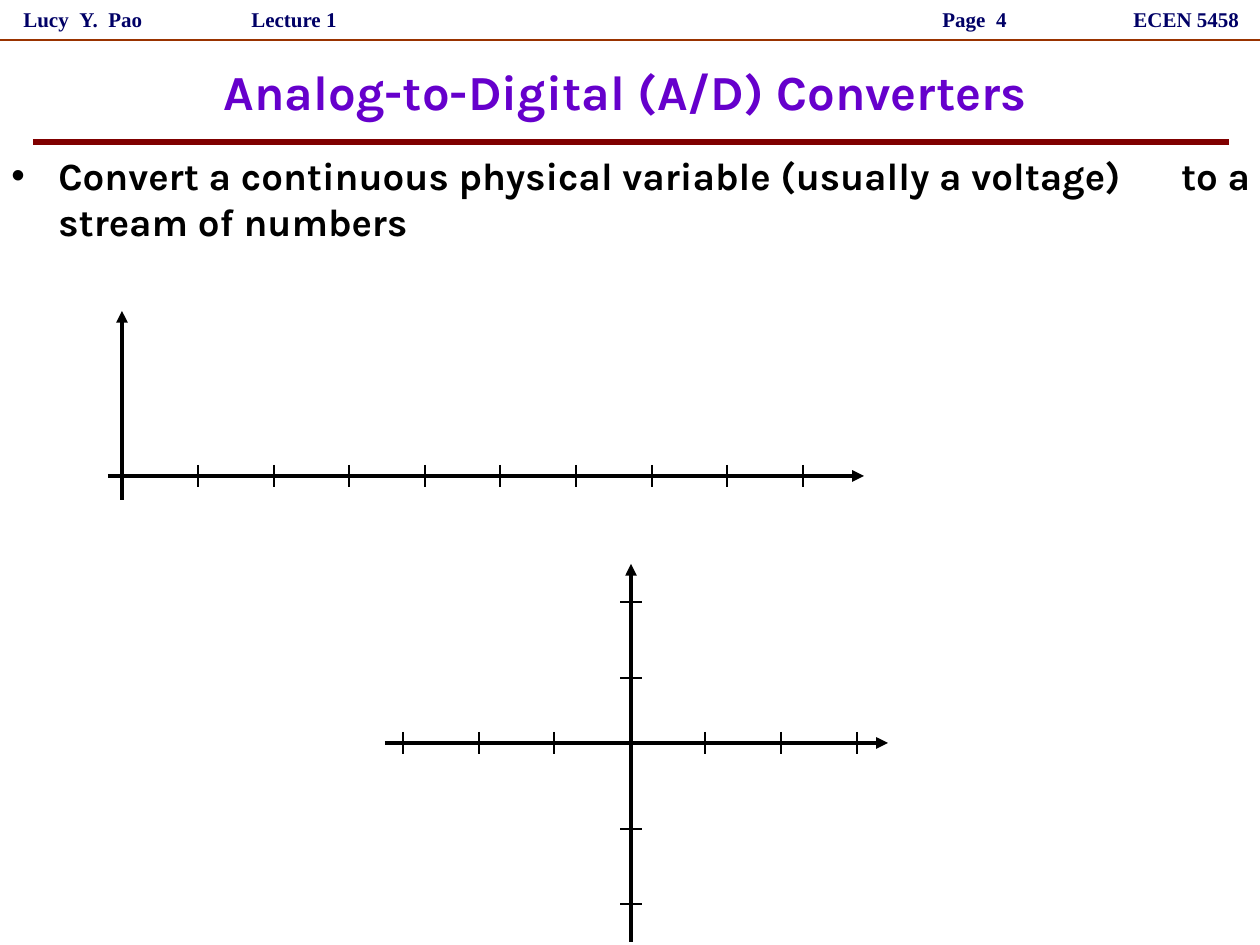
from dataclasses import dataclass

from lxml.etree import SubElement
from pptx import Presentation
from pptx.dml.color import RGBColor
from pptx.enum.shapes import MSO_CONNECTOR
from pptx.enum.text import MSO_ANCHOR, PP_ALIGN
from pptx.oxml.ns import qn
from pptx.util import Emu, Pt

SCALE = 914400 / 126
STEP = 75.6
ARM = 11


def px(n):
    return Emu(round(n * SCALE))


@dataclass(frozen=True)
class Theme:
    navy: str = "000066"
    rust: str = "993300"
    plum: str = "6600CC"
    wine: str = "800000"
    ink: str = "000000"
    serif: str = "Times New Roman"
    sans: str = "Karla"
    small: int = 12
    body: int = 22
    large: int = 28
    thin: float = 1.5
    bold: float = 2.25
    thick: float = 3


class Deck:
    def __init__(self, theme):
        self.theme = theme
        self.show = Presentation()
        self.show.slide_width, self.show.slide_height = px(1260), px(945)
        self.slide = self.show.slides.add_slide(self.show.slide_layouts[6])
        self.home = self.slide.shapes

    def text(self, parts, box, face, size, color, align=PP_ALIGN.LEFT,
             anchor=MSO_ANCHOR.MIDDLE, gap=0, hang=0):
        frame = self.slide.shapes.add_textbox(*map(px, box)).text_frame
        frame.word_wrap = True
        frame.vertical_anchor = anchor
        para = frame.paragraphs[0]
        para.alignment = align
        if hang:
            self.bullet(para, hang, color)
        para.text = parts[0]
        for part in parts[1:]:
            space = para.add_run()
            space.text = " "
            space.font._element.set("spc", str(gap * 100))
            para.add_run().text = part
        for run in para.runs:
            font = run.font
            font.name, font.size, font.bold = face, Pt(size), True
            font.color.rgb = RGBColor.from_string(color)

    def bullet(self, para, hang, color):
        props = para._p.get_or_add_pPr()
        props.set("marL", str(px(hang)))
        props.set("indent", str(-px(hang)))
        tint = SubElement(props, qn("a:buClr"))
        SubElement(tint, qn("a:srgbClr"), val=color)
        SubElement(props, qn("a:buFont"), typeface="Arial")
        SubElement(props, qn("a:buChar"), char="•")

    def line(self, start, end, color, width, arrow=False):
        link = self.home.add_connector(
            MSO_CONNECTOR.STRAIGHT, *map(px, (*start, *end)))
        link.line.color.rgb = RGBColor.from_string(color)
        link.line.width = Pt(width)
        if arrow:
            SubElement(link.line._get_or_add_ln(), qn("a:tailEnd"), type="triangle")
        SubElement(link._element.spPr, qn("a:effectLst"))

    def plot(self, across, up, cols, rows):
        theme = self.theme
        self.home = self.slide.shapes.add_group_shape().shapes
        for start, end in (across, up):
            self.line(start, end, theme.ink, theme.bold, arrow=True)
        x, y = up[0][0], across[0][1]
        for col in cols:
            self.line((col, y - ARM), (col, y + ARM), theme.ink, theme.thin)
        for row in rows:
            self.line((x + ARM, row), (x - ARM, row), theme.ink, theme.thin)
        self.home = self.slide.shapes


def ticks(first, count, skip=None):
    return [round(first + i * STEP) for i in range(count) if i != skip]


def main():
    theme = Theme()
    deck = Deck(theme)
    heads = (
        (("Lucy", "Y.", "Pao"), 11, 179, PP_ALIGN.LEFT),
        (("ECEN 5458",), 1121, 132, PP_ALIGN.LEFT),
        (("Lecture 1",), 208, 172, PP_ALIGN.CENTER),
        (("Page", "4"), 813, 206, PP_ALIGN.RIGHT),
    )
    for parts, left, width, align in heads:
        deck.text(parts, (left, 0, width, 38), theme.serif, theme.small,
                  theme.navy, align, gap=3)
    deck.line((0, 40), (1260, 40), theme.rust, theme.thin)
    deck.text(("Analog-to-Digital (A/D) Converters",), (38, 26, 1174, 130),
              theme.sans, theme.large, theme.plum, PP_ALIGN.CENTER)
    deck.text(("Convert a continuous physical variable (usually a voltage)",
               "to a stream of numbers"), (-1, 146, 1281, 719),
              theme.sans, theme.body, theme.ink, anchor=MSO_ANCHOR.TOP,
              gap=29, hang=47)
    deck.line((33, 142), (1229, 142), theme.wine, theme.thick)
    deck.plot(((108, 476), (864, 476)), ((122, 500), (122, 311)),
              ticks(198, 9), [])
    deck.plot(((385, 743), (888, 743)), ((631, 942), (631, 564)),
              ticks(403, 7, skip=3), ticks(602, 5, skip=2))
    deck.show.save("out.pptx")


if __name__ == "__main__":
    main()
